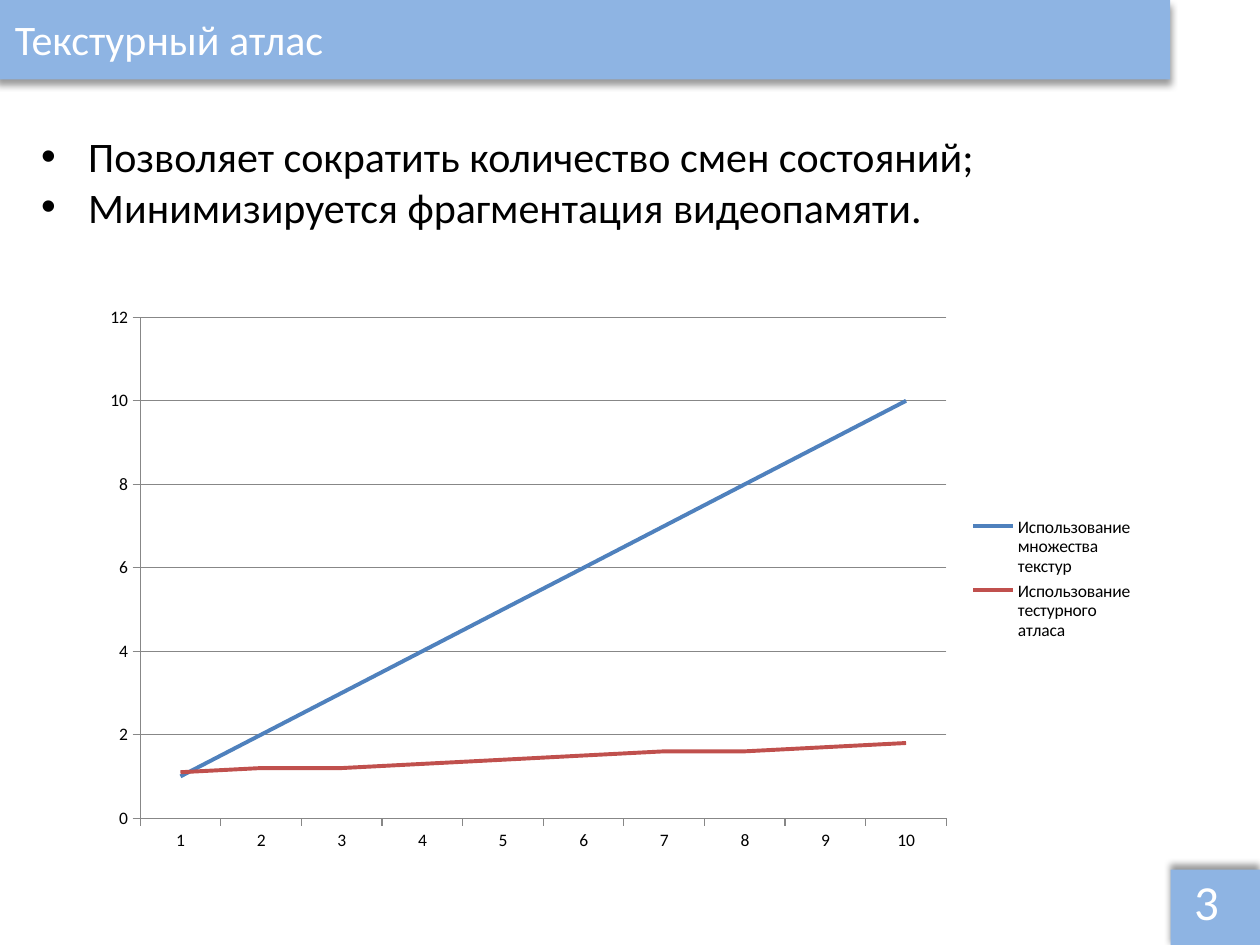
import lxml.etree
import pptx
import pptx.chart.data
import pptx.dml.color
import pptx.enum.chart
import pptx.enum.shapes
import pptx.enum.text
import pptx.oxml.ns
import pptx.util

Cm = pptx.util.Cm
Pt = pptx.util.Pt
ALIGN = pptx.enum.text.PP_ALIGN
ANCHOR = pptx.enum.text.MSO_ANCHOR
FONT = "Calibri"
BAND = "8EB4E3"
GREY = "878787"


def color(code):
    return pptx.dml.color.RGBColor.from_string(code)


def add_child(parent, tag, **attributes):
    child = lxml.etree.SubElement(parent, pptx.oxml.ns.qn(tag))
    for name, value in attributes.items():
        child.set(name, str(value))
    return child


def add_band(page, left, top, width, height, shadow_angle):
    band = page.shapes.add_shape(
        pptx.enum.shapes.MSO_SHAPE.RECTANGLE, Cm(left), Cm(top), Cm(width), Cm(height))
    band.fill.solid()
    band.fill.fore_color.rgb = color(BAND)
    band.line.fill.background()
    effects = add_child(band._element.spPr, "a:effectLst")
    shadow = add_child(effects, "a:outerShdw", blurRad=Pt(4), dist=Pt(3),
                       dir=shadow_angle * 60000, algn="t", rotWithShape=0)
    tint = add_child(shadow, "a:srgbClr", val="000000")
    add_child(tint, "a:alpha", val=40000)


def add_bullet(para, indent):
    properties = para._p.get_or_add_pPr()
    properties.set("marL", str(Cm(indent)))
    properties.set("indent", str(-Cm(indent)))
    add_child(properties, "a:buFont", typeface="Arial")
    add_child(properties, "a:buChar", char="•")


def add_text(page, text, left, top, width, height, size=24, code="000000",
             align=ALIGN.LEFT, anchor=ANCHOR.TOP, wrap=True, bullet_indent=None):
    box = page.shapes.add_textbox(Cm(left), Cm(top), Cm(width), Cm(height))
    frame = box.text_frame
    frame.word_wrap = wrap
    frame.vertical_anchor = anchor
    frame.text = text
    for para in frame.paragraphs:
        para.alignment = align
        if bullet_indent:
            add_bullet(para, bullet_indent)
        for span in para.runs:
            span.font.name = FONT
            span.font.size = Pt(size)
            span.font.color.rgb = color(code)


def add_line_chart(page, categories, series, left, top, width, height):
    data = pptx.chart.data.CategoryChartData()
    data.categories = categories
    for name, values, _ in series:
        data.add_series(name, values)
    chart = page.shapes.add_chart(
        pptx.enum.chart.XL_CHART_TYPE.LINE, Cm(left), Cm(top), Cm(width), Cm(height), data).chart
    chart.has_title = False
    chart.font.name = FONT
    chart.font.size = Pt(10)
    chart.font.color.rgb = color("000000")
    chart.has_legend = True
    chart.legend.position = pptx.enum.chart.XL_LEGEND_POSITION.RIGHT
    chart.legend.include_in_layout = False
    for axis in (chart.category_axis, chart.value_axis):
        axis.major_tick_mark = pptx.enum.chart.XL_TICK_MARK.OUTSIDE
        axis.format.line.color.rgb = color(GREY)
        axis.format.line.width = Pt(0.75)
    chart.value_axis.minimum_scale = 0
    chart.value_axis.maximum_scale = 12
    chart.value_axis.major_unit = 2
    grid = chart.value_axis.major_gridlines.format.line
    grid.color.rgb = color(GREY)
    grid.width = Pt(0.75)
    chart.plots[0].vary_by_categories = False
    for line, (_, _, code) in zip(chart.plots[0].series, series):
        line.smooth = False
        line.format.line.color.rgb = color(code)
        line.format.line.width = Pt(2.25)


def main():
    """Build the texture atlas slide and save it."""
    deck = pptx.Presentation()
    deck.slide_width, deck.slide_height = Cm(25.4), Cm(19.05)
    page = deck.slides.add_slide(deck.slide_layouts[6])

    add_band(page, -0.08, 0, 23.67, 1.6, shadow_angle=90)
    add_band(page, 23.6, 17.53, 1.8, 1.6, shadow_angle=270)
    add_text(page, "3", 18.9, 17.65, 5.92, 1.02, size=28, code="FFFFFF",
             align=ALIGN.RIGHT, anchor=ANCHOR.MIDDLE)
    add_text(page, "Текстурный атлас", 0.05, 0.15, 6.78, 1.27, code="FFFFFF", wrap=False)
    add_text(page, "Позволяет сократить количество смен состояний;\n"
                   "Минимизируется фрагментация видеопамяти.",
             0.58, 2.51, 23.95, 2.31, align=ALIGN.JUSTIFY, bullet_indent=0.95)

    counts = range(1, 11)
    atlas_costs = [1.1, 1.2, 1.2, 1.3, 1.4, 1.5, 1.6, 1.6, 1.7, 1.8]
    add_line_chart(page, [str(count) for count in counts], [
        ("Использование\nмножества\nтекстур", counts, "4F81BD"),
        ("Использование\nтестурного\nатласа", atlas_costs, "C0504D"),
    ], 1.8, 5.97, 21.31, 11.4)

    deck.save("out.pptx")


if __name__ == "__main__":
    main()
